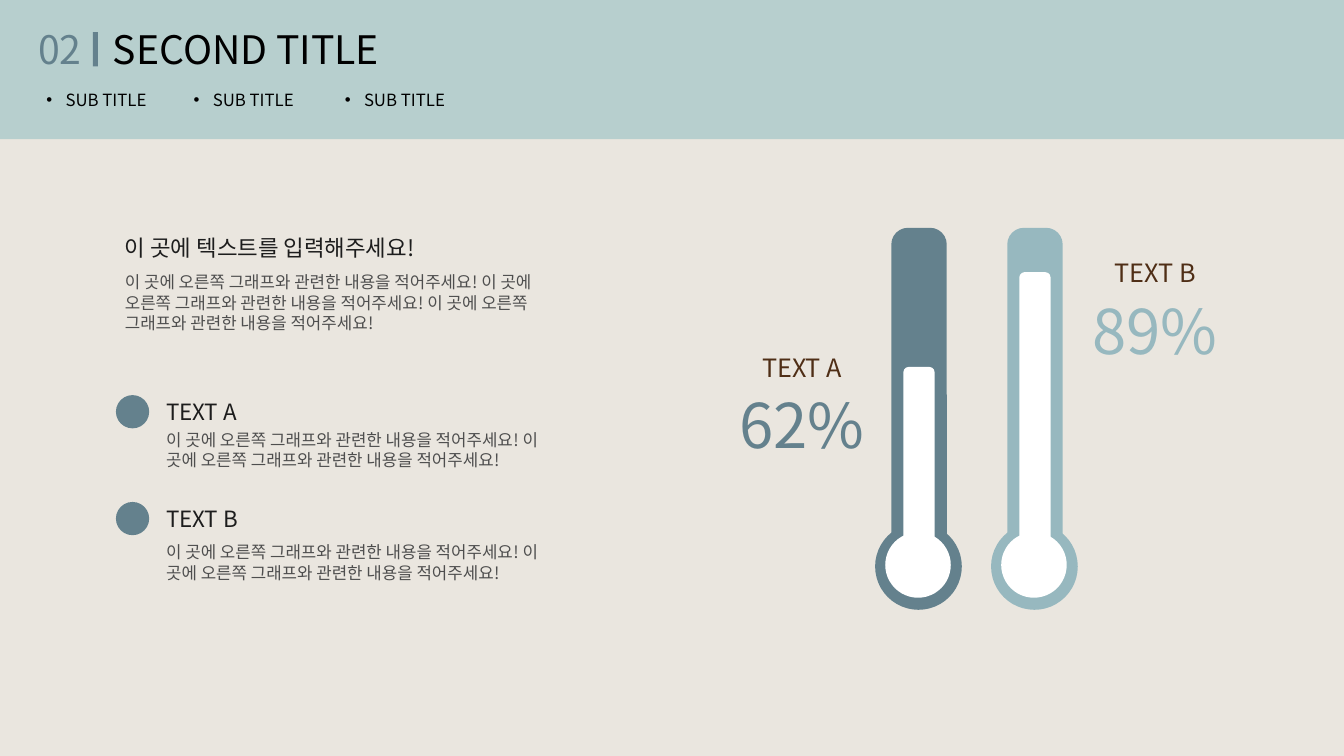
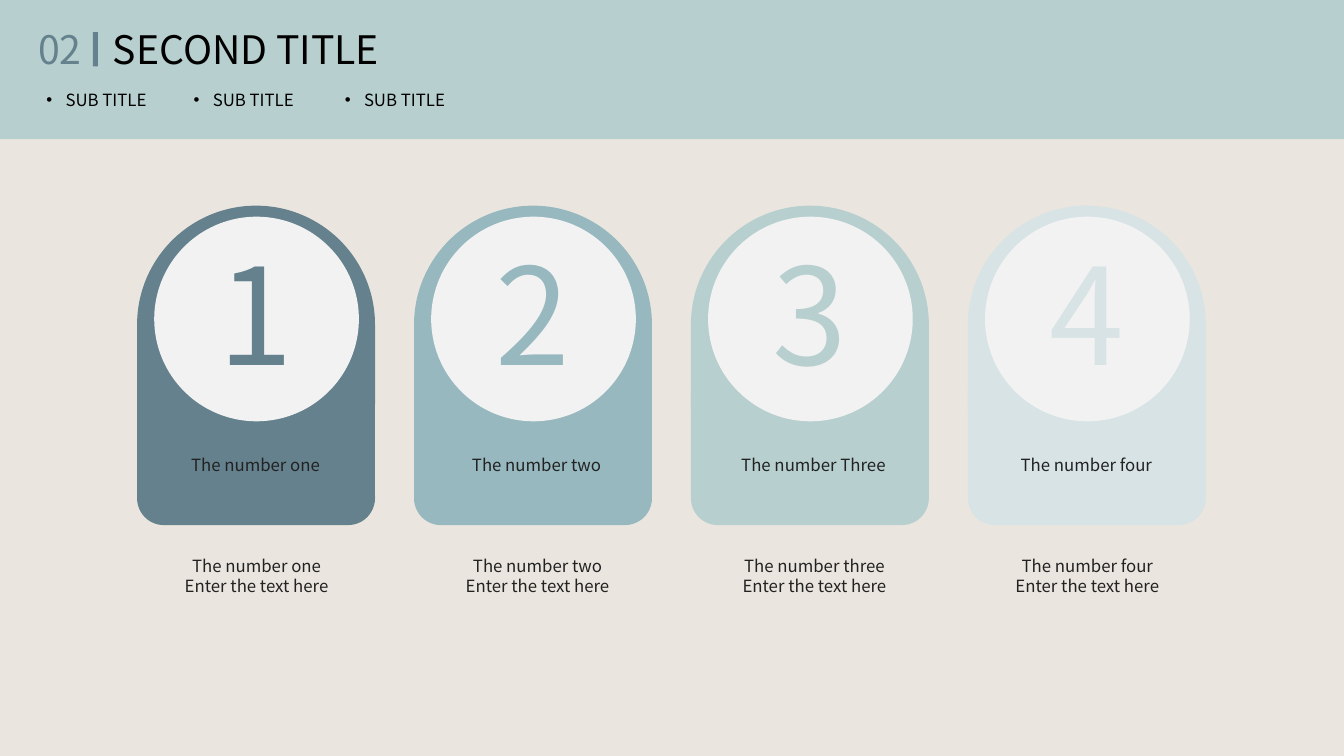
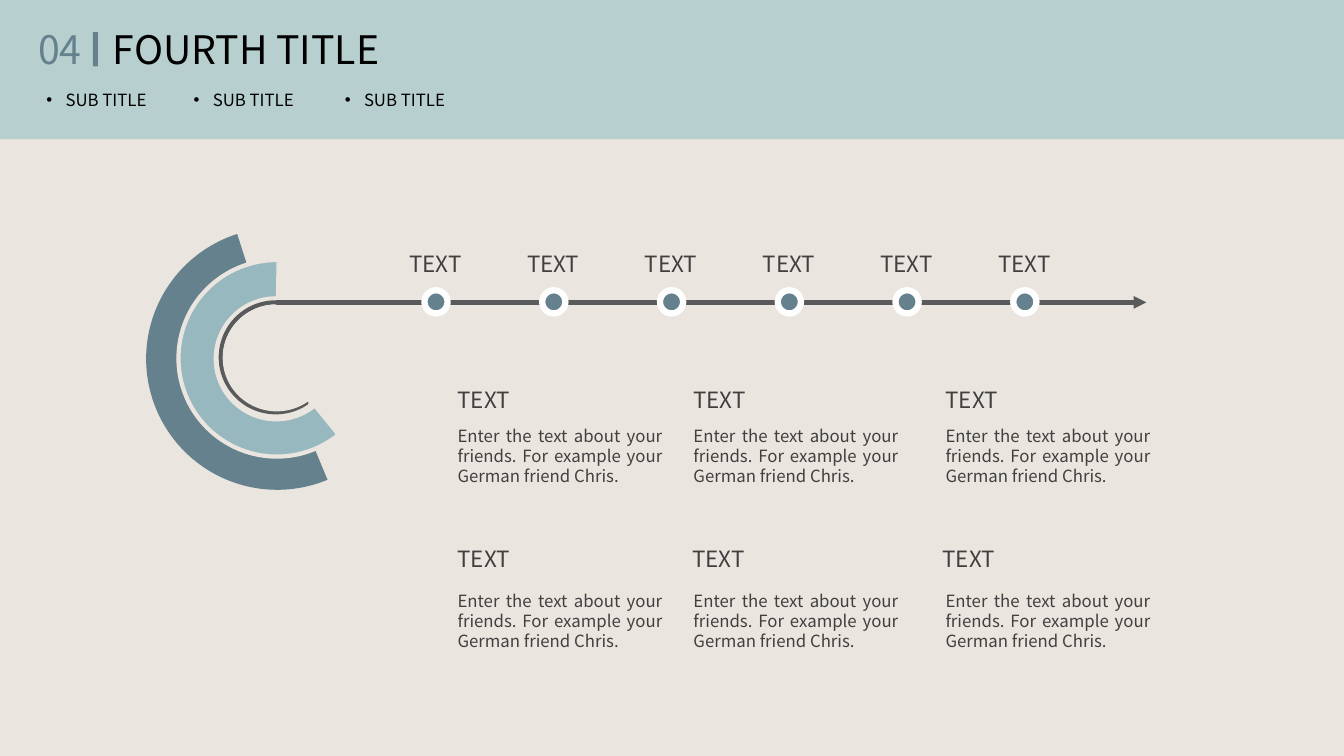
from dataclasses import dataclass

from lxml import etree
from pptx import Presentation
from pptx.dml.color import RGBColor
from pptx.enum.shapes import MSO_CONNECTOR, MSO_SHAPE
from pptx.enum.text import MSO_ANCHOR, MSO_AUTO_SIZE, PP_ALIGN
from pptx.oxml.ns import qn
from pptx.shapes.autoshape import Shape
from pptx.shapes.shapetree import _BaseGroupShapes as Shapes
from pptx.slide import Slide
from pptx.util import Inches, Pt

RECT, ROUND = MSO_SHAPE.RECTANGLE, MSO_SHAPE.ROUNDED_RECTANGLE
OVAL, PIE = MSO_SHAPE.OVAL, MSO_SHAPE.PIE
LINE = MSO_CONNECTOR.STRAIGHT
LEFT, MID, FULL = PP_ALIGN.LEFT, PP_ALIGN.CENTER, PP_ALIGN.JUSTIFY
TOP, GROW = MSO_ANCHOR.TOP, MSO_AUTO_SIZE.SHAPE_TO_FIT_TEXT

FONT = "Noto Sans CJK KR"
SAND, SAGE, SLATE, MIST, PALE = "EAE6DF", "B7CFCE", "64818D", "97B8BF", "D8E3E5"
WHITE, BLACK, BROWN = "FFFFFF", "000000", "4F2E16"
INK, GREY, COAL, STEEL = "1D1D1D", "4E4E4E", "404040", "595A5C"

Box = tuple[float, float, float, float]


@dataclass
class Style:
    size: float
    color: str
    align: PP_ALIGN = LEFT


# Shared drawing
def rgb(code: str) -> RGBColor:
    return RGBColor.from_string(code)


def place(shape: Shape, box: Box) -> None:
    shape.left, shape.top, shape.width, shape.height = map(Inches, box)


def write(shape: Shape, text: str, style: Style) -> None:
    frame = shape.text_frame
    frame.text = text
    frame.word_wrap = True
    frame.vertical_anchor = TOP
    frame.auto_size = GROW
    for para in frame.paragraphs:
        para.alignment = style.align
        para.space_before = Pt(0)
        for run in para.runs:
            font = run.font
            font.name, font.size, font.bold = FONT, Pt(style.size), False
            font.color.rgb = rgb(style.color)
            east = etree.SubElement(font._element, qn("a:ea"))
            east.set("typeface", FONT)


def label(slide: Slide, box: Box, text: str, style: Style) -> None:
    write(slide.shapes.add_textbox(*map(Inches, box)), text, style)


def draw(shapes: Shapes, kind: MSO_SHAPE, box: Box, fill: str,
         adjust: tuple[float, ...] = (), edge: str = "", width: float = 3) -> Shape:
    shape = shapes.add_shape(kind, *map(Inches, box))
    shape.shadow.inherit = False
    shape.fill.solid()
    shape.fill.fore_color.rgb = rgb(fill)
    for i, value in enumerate(adjust):
        shape.adjustments[i] = value
    if edge:
        shape.line.color.rgb = rgb(edge)
        shape.line.width = Pt(width)
    else:
        shape.line.fill.background()
    return shape


def bullet(shape: Shape) -> None:
    props = shape.text_frame.paragraphs[0]._p.get_or_add_pPr()
    props.set("marL", str(Inches(0.19)))
    props.set("indent", str(Inches(-0.19)))
    etree.SubElement(props, qn("a:buFont")).set("typeface", "Arial")
    etree.SubElement(props, qn("a:buChar")).set("char", "•")


def start(number: str, name: str) -> Slide:
    """Add a slide with its band, number, title and three subtitles."""
    slide = deck.slides.add_slide(deck.slide_layouts.get_by_name("Comparison"))
    title, *subs, spare = list(slide.placeholders)[:5]
    spare.element.getparent().remove(spare.element)
    band = draw(slide.shapes, RECT, (0, 0, 13.33, 1.38), SAGE)
    title.element.addprevious(band.element)
    place(title, (1.02, 0.2, 2.95, 0.57))
    write(title, name, Style(28, BLACK))
    for sub, left in zip(subs, (0.36, 1.82, 3.32)):
        place(sub, (left, 0.84, 1.95, 0.3))
        write(sub, "SUB TITLE", Style(12, BLACK))
        bullet(sub)
    label(slide, (0.28, 0.2, 0.74, 0.57), number, Style(28, SLATE))
    draw(slide.shapes, RECT, (0.92, 0.32, 0.05, 0.34), SLATE)
    return slide


deck = Presentation()
deck.slide_width, deck.slide_height = Inches(13.33), Inches(7.5)
back = deck.slide_master.background.fill
back.solid()
back.fore_color.rgb = rgb(SAND)


# Slide 1: thermometers
@dataclass
class Gauge:
    left: float
    level: float
    color: str
    name: str
    value: str
    name_box: Box
    value_box: Box


@dataclass
class Point:
    name: str
    top: float
    body: float


GAUGES = [
    Gauge(8.68, 3.64, SLATE, "TEXT A", "62%",
          (7.42, 3.45, 1.07, 0.4), (7.09, 3.79, 1.73, 0.84)),
    Gauge(9.83, 2.7, MIST, "TEXT B", "89%",
          (10.81, 2.5, 1.3, 0.4), (10.59, 2.86, 1.73, 0.84)),
]
POINTS = [Point("TEXT A", 3.9, 4.21), Point("TEXT B", 4.96, 5.33)]
HINT = "이 곳에 오른쪽 그래프와 관련한 내용을 적어주세요!"


def gauge(slide: Slide, item: Gauge) -> None:
    parts = slide.shapes.add_group_shape().shapes
    x = item.left
    draw(parts, OVAL, (x, 5.19, 0.86, 0.86), item.color)
    draw(parts, ROUND, (x + 0.16, 2.26, 0.55, 3.32), item.color, (0.3,))
    draw(parts, OVAL, (x + 0.1, 5.28, 0.65, 0.65), WHITE)
    draw(parts, ROUND, (x + 0.28, item.level, 0.31, 5.55 - item.level), WHITE)
    label(slide, item.name_box, item.name, Style(18, BROWN, MID))
    label(slide, item.value_box, item.value, Style(44, item.color, MID))


slide = start("02", "SECOND TITLE")
for item in GAUGES:
    gauge(slide, item)
head, body = Style(16, INK), Style(12, GREY)
label(slide, (1.14, 2.27, 3.81, 0.37), "이 곳에 텍스트를 입력해주세요!", head)
label(slide, (1.14, 2.65, 4.62, 0.71), " ".join([HINT] * 3), body)
for point in POINTS:
    draw(slide.shapes, OVAL, (1.15, point.top + 0.02, 0.33, 0.33), SLATE)
    label(slide, (1.55, point.top, 1.3, 0.37), point.name, head)
    label(slide, (1.55, point.body, 4.14, 0.5), " ".join([HINT] * 2), body)


# Slide 2: numbered arches
@dataclass
class Arch:
    name: str
    note: str
    color: str
    shift: float = 0


ARCHES = [
    Arch("The number one", "The number one", SLATE),
    Arch("The number two", "The number two", MIST, 0.04),
    Arch("The number Three", "The number three", SAGE, 0.04),
    Arch("The number four", "The number four", PALE),
]
STEP = (9.6 - 1.36) / 3

slide = start("02", "SECOND TITLE")
text = Style(12, "222222", MID)
for i, arch in enumerate(ARCHES):
    x = 1.36 + i * STEP
    parts = slide.shapes.add_group_shape().shapes
    draw(parts, ROUND, (x, 2.04, 2.36, 3.15), arch.color, (0.5,))
    draw(parts, ROUND, (x, 3.61, 2.36, 1.6), arch.color)
    draw(slide.shapes, OVAL, (x + 0.17, 2.15, 2.03, 2.03), "F2F2F2")
    label(slide, (x + 0.56, 2.24, 1.24, 1.72), str(i + 1),
          Style(96, arch.color, MID))
    label(slide, (x + arch.shift, 4.46, 2.35, 0.3), arch.name, text)
    label(slide, (x + arch.shift - 0.24, 5.46, 2.85, 0.5),
          f"{arch.note}\nEnter the text here", text)


# Slide 3: arcs and timeline
@dataclass
class Arc:
    kind: MSO_SHAPE
    box: Box
    fill: str
    edge: str = ""
    angles: tuple[float, ...] = ()


@dataclass
class Row:
    head: float
    body: float
    lefts: tuple[float, ...]


ARCS = [
    Arc(PIE, (1.45, 2.26, 2.6, 2.6), SLATE, "", (67.42, 252.23)),
    Arc(PIE, (1.77, 2.58, 1.95, 1.95), MIST, SAND, (50.99, 271.11)),
    Arc(OVAL, (2.14, 2.96, 1.2, 1.2), SAND, SAND),
    Arc(PIE, (2.19, 3, 1.09, 1.09), "F4F4F4", STEEL, (56.19, 270)),
    Arc(OVAL, (2.23, 3.04, 1.03, 1.02), SAND, SAND),
]
ROWS = [Row(3.78, 4.17, (4.44, 6.78, 9.28)), Row(5.36, 5.81, (4.44, 6.77, 9.25))]
COLS = ROWS[0].lefts
STORY = "Enter the text about your friends. For example your German friend Chris."
DOTS = 6
GAP = (10.05 - 4.21) / (DOTS - 1)


def arrow(slide: Slide, x: float, y: float, end: float) -> None:
    line = slide.shapes.add_connector(
        LINE, Inches(x), Inches(y), Inches(end), Inches(y))
    line.line.color.rgb = rgb(STEEL)
    line.line.width = Pt(3)
    props = line.element.spPr
    etree.SubElement(props.find(qn("a:ln")), qn("a:tailEnd")).set("type", "triangle")
    etree.SubElement(props, qn("a:effectLst"))


slide = start("04", "FOURTH TITLE")
parts = slide.shapes.add_group_shape().shapes
for arc in ARCS:
    # Pie adjustments count 0.6 per degree
    draw(parts, arc.kind, arc.box, arc.fill,
         tuple(angle * 0.6 for angle in arc.angles), arc.edge)
arrow(slide, 2.74, 3, 11.37)
for i in range(DOTS):
    x = 4.21 + i * GAP
    draw(slide.shapes, OVAL, (x, 2.88, 0.23, 0.23), SLATE, (), "FEFEFE", 4.5)
    label(slide, (x - 0.47, 2.43, 1.16, 0.37), "TEXT", Style(16, COAL, MID))
for row in ROWS:
    for left, col in zip(row.lefts, COLS):
        label(slide, (left, row.head, 1.16, 0.37), "TEXT", Style(16, COAL))
        label(slide, (col, row.body, 2.23, 0.71), STORY, Style(12, COAL, FULL))

deck.save("out.pptx")
